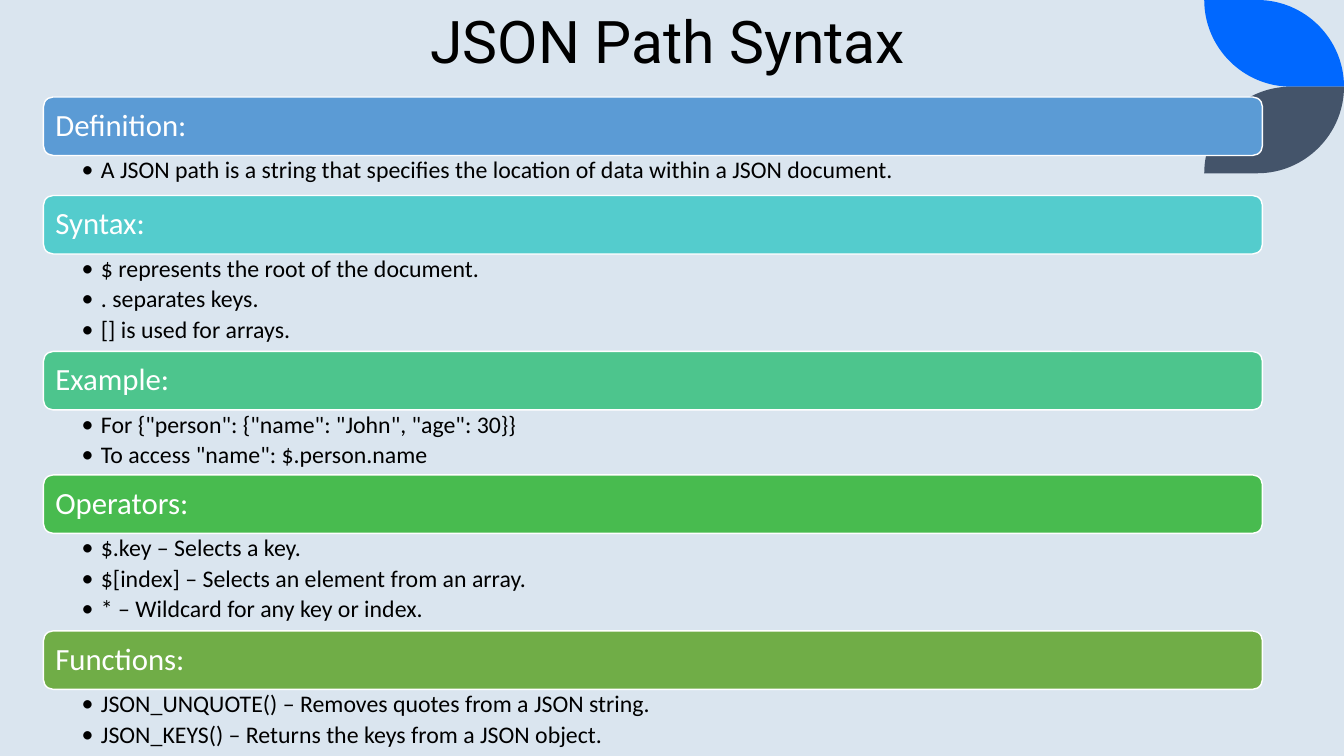
"""Build the JSON Path Syntax slide: title, corner leaves and five headed lists."""
from lxml.etree import Element, SubElement
from pptx import Presentation
from pptx.dml.color import RGBColor
from pptx.enum.shapes import MSO_SHAPE
from pptx.enum.text import MSO_ANCHOR, PP_ALIGN
from pptx.oxml.ns import qn
from pptx.util import Inches, Pt


def paint(fill, shade):
    fill.solid()
    fill.fore_color.rgb = RGBColor.from_string(shade)


def write(box, lines, size, font, shade, line_spacing, margins, anchor, align=PP_ALIGN.LEFT):
    frame = box.text_frame
    frame.text = "\n".join(lines)
    frame.word_wrap = True
    frame.vertical_anchor = anchor
    frame.margin_left, frame.margin_top, frame.margin_right, frame.margin_bottom = map(int, margins)
    for para in frame.paragraphs:
        para.alignment = align
        para.line_spacing = line_spacing
        for span in para.runs:
            span.font.size = Pt(size)
            span.font.name = font
            paint(span.font.fill, shade)


deck = Presentation()
deck.slide_width, deck.slide_height = Inches(13.33), Inches(7.5)
column, row = deck.slide_width / 100, deck.slide_height / 100
page = deck.slides.add_slide(deck.slide_layouts[6])
paint(page.background.fill, "DAE5EF")

leaf_width, leaf_height = int(10.4 * column), int(11.46 * row)
leaf_left = deck.slide_width - leaf_width
straight = leaf_width - leaf_height
roundness = 0.55
for shade, tip, base in [("0068FF", 0, leaf_height), ("44546A", leaf_height, 0)]:
    leaf_top = leaf_height - base
    corners = [(straight, tip and leaf_height), (leaf_width, base), (leaf_height, base),
               (0, tip and leaf_height)]
    builder = page.shapes.build_freeform(leaf_left, leaf_top + corners[3][1])
    builder.add_line_segments([(leaf_left + x, leaf_top + y) for x, y in corners], close=True)
    leaf = builder.convert_to_shape()
    leaf.shadow.inherit = False
    paint(leaf.fill, shade)
    leaf.line.fill.background()
    sides = list(leaf._element.iter(qn("a:lnTo")))
    bends = [(1, (leaf_width, corners[0][1])), (3, (0, base))]
    for index, bend in bends:
        start, end = corners[index - 1], corners[index]
        pulls = [tuple(p + roundness * (b - p) for p, b in zip(point, bend))
                 for point in (start, end)]
        curve = Element(qn("a:cubicBezTo"))
        for x, y in pulls + [end]:
            SubElement(curve, qn("a:pt"), x=str(int(x)), y=str(int(y)))
        sides[index].getparent().replace(sides[index], curve)

title = page.shapes.add_textbox(*map(int, (9.6 * column, 1.9 * row, 80.2 * column, 8.67 * row)))
write(title, ["JSON Path Syntax"], 42, "Roboto", "000000", 0.8,
      (0.75 * column, 0.67 * row, 0.75 * column, 0.67 * row), MSO_ANCHOR.BOTTOM, PP_ALIGN.CENTER)

sections = [
    ("Definition:", "5B9BD5", [
        "A JSON path is a string that specifies the location of data within a JSON document."]),
    ("Syntax:", "54CCCD", [
        "$ represents the root of the document.", ". separates keys.", "[] is used for arrays."]),
    ("Example:", "4DC58D", [
        'For {"person": {"name": "John", "age": 30}}', 'To access "name": $.person.name']),
    ("Operators:", "48BB4F", [
        "$.key – Selects a key.", "$[index] – Selects an element from an array.",
        "* – Wildcard for any key or index."]),
    ("Functions:", "70AD47", [
        "JSON_UNQUOTE() – Removes quotes from a JSON string.",
        "JSON_KEYS() – Returns the keys from a JSON object."]),
]
list_heights = {1: 5.3 * row, 2: 8.6 * row, 3: 12.9 * row}
left, width, bar_height = 3.23 * column, 90.7 * column, 7.73 * row
indent = int(1.43 * column)
top = 12.83 * row

for heading, shade, points in sections:
    bar = page.shapes.add_shape(MSO_SHAPE.ROUNDED_RECTANGLE,
                                *map(int, (left, top, width, bar_height)))
    bar.shadow.inherit = False
    paint(bar.fill, shade)
    paint(bar.line.fill, "FFFFFF")
    bar.line.width = Pt(1)
    write(bar, [heading], 22, "Calibri", "FFFFFF", 0.9, [0.68 * column] * 4, MSO_ANCHOR.MIDDLE)
    top += bar_height

    height = list_heights[len(points)]
    listing = page.shapes.add_textbox(*map(int, (left, top, width, height)))
    write(listing, points, 17, "Calibri", "000000", 0.9,
          (2.85 * column, 0.4 * row, 1.28 * column, 0.4 * row), MSO_ANCHOR.TOP)
    for para in listing.text_frame.paragraphs:
        para.space_after = Pt(3.4)
        properties = para._p.get_or_add_pPr()
        properties.set("marL", str(indent))
        properties.set("indent", str(-indent))
        SubElement(properties, qn("a:buFont"), typeface="Calibri")
        SubElement(properties, qn("a:buChar"), char="•")
    top += height

deck.save("out.pptx")
